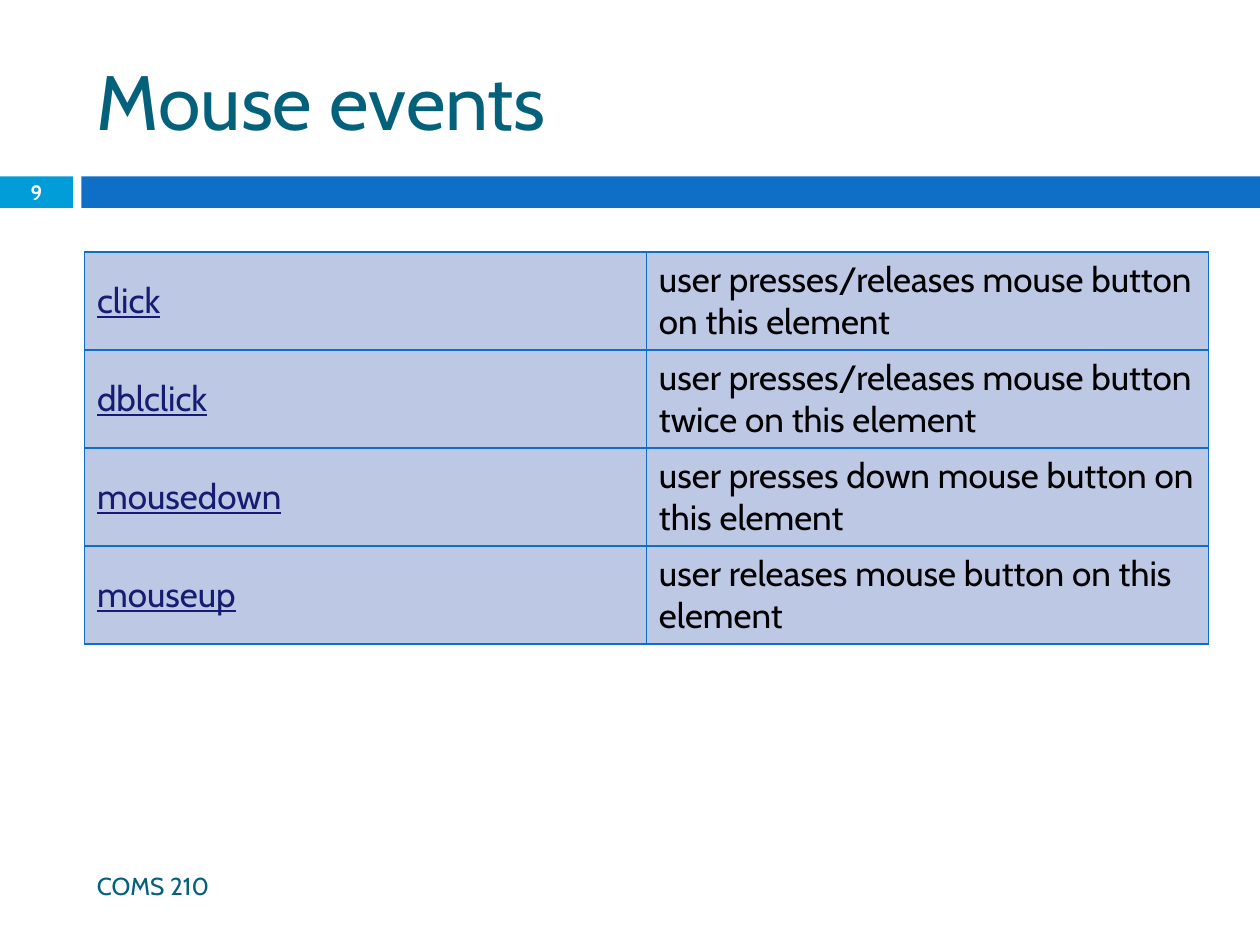
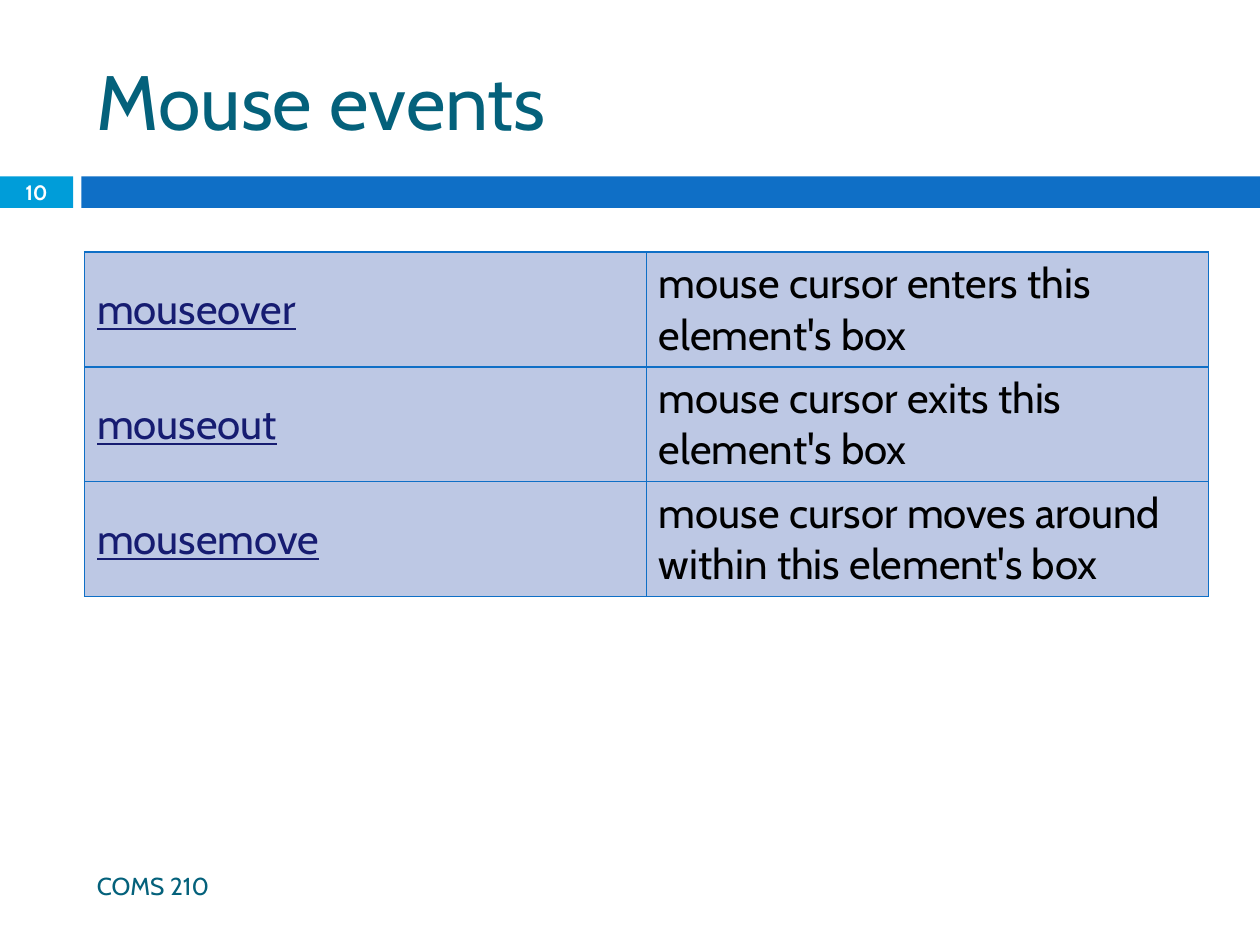
from lxml.etree import SubElement
from pptx import Presentation
from pptx.dml.color import RGBColor
from pptx.enum.shapes import MSO_SHAPE
from pptx.enum.text import MSO_ANCHOR, PP_ALIGN
from pptx.oxml.ns import qn
from pptx.util import Pt

FONT = "Cabin"
TEAL, SKY, BLUE = "04617B", "009DD9", "0F6FC6"
CELL_FILL, LINK, BLACK, WHITE = "BDC8E4", "161C71", "000000", "FFFFFF"

LEFT, WIDTH = 48.24, 642.24
BAND_TOP, BAND_HEIGHT = 100.8, 18
TABLE_TOP = 144

FOOTER = "COMS 210"
FIRST_NUMBER = 9
SLIDES = [
    {"title": "Mouse events", "size": 20, "row_height": 56, "events": [
        ("click", "user presses/releases mouse button on this element"),
        ("dblclick", "user presses/releases mouse button twice on this element"),
        ("mousedown", "user presses down mouse button on this element"),
        ("mouseup", "user releases mouse button on this element"),
    ]},
    {"title": "Mouse events", "size": 24, "row_height": 65.7, "events": [
        ("mouseover", "mouse cursor enters this element's box"),
        ("mouseout", "mouse cursor exits this element's box"),
        ("mousemove", "mouse cursor moves around within this element's box"),
    ]},
]


def color(value):
    """Turn a hex string into a colour."""
    return RGBColor.from_string(value)


def style_font(font, size, value):
    """Set the typeface, size and colour of a font."""
    font.name = FONT
    font.size = Pt(size)
    font.color.rgb = color(value)


def add_text(page, text, place, size, value):
    """Add a vertically centred text box and return its paragraph."""
    frame = page.shapes.add_textbox(*map(Pt, place)).text_frame
    frame.word_wrap = True
    frame.vertical_anchor = MSO_ANCHOR.MIDDLE
    para = frame.paragraphs[0]
    para.text = text
    style_font(para.font, size, value)
    return para


def add_band(page, left, width, value):
    """Add one plain part of the band under the title."""
    place = (left, BAND_TOP, width, BAND_HEIGHT)
    band = page.shapes.add_shape(MSO_SHAPE.RECTANGLE, *map(Pt, place))
    band.shadow.inherit = False
    band.fill.solid()
    band.fill.fore_color.rgb = color(value)
    band.line.fill.background()


def add_frame(page, title, number):
    """Add the band, title, footer and slide number."""
    add_band(page, 0, 41.76, SKY)
    add_band(page, 46.5, 673.5, BLUE)
    add_text(page, title, (LEFT, 18, WIDTH, 77.76), 44, TEAL)
    add_text(page, FOOTER, (LEFT, 491.76, 426.96, 28.8), 14, TEAL)
    para = add_text(page, str(number), (0, 100.08, 41.76, 19.44), 11.9, WHITE)
    para.alignment = PP_ALIGN.CENTER
    para.font.bold = True


def style_cell(cell):
    """Give a cell its borders, fill and anchor."""
    properties = cell._tc.get_or_add_tcPr()
    for side in ("lnL", "lnR", "lnT", "lnB"):
        line = SubElement(properties, qn("a:" + side), w=str(Pt(0.79)))
        fill = SubElement(line, qn("a:solidFill"))
        SubElement(fill, qn("a:srgbClr"), val=BLUE)
    cell.fill.solid()
    cell.fill.fore_color.rgb = color(CELL_FILL)
    cell.vertical_anchor = MSO_ANCHOR.MIDDLE


def add_event_table(page, events, size, row_height):
    """Add a table of event names and their meanings."""
    place = (LEFT, TABLE_TOP, WIDTH, row_height * len(events))
    table = page.shapes.add_table(len(events), 2, *map(Pt, place)).table
    table.first_row = table.horz_banding = False
    for row, event in zip(table.rows, events):
        row.height = Pt(row_height)
        for cell, text, value in zip(row.cells, event, (LINK, BLACK)):
            style_cell(cell)
            para = cell.text_frame.paragraphs[0]
            para.text = text
            style_font(para.font, size, value)
            para.font.underline = value == LINK


deck = Presentation()
deck.slide_width, deck.slide_height = Pt(720), Pt(540)
for number, content in enumerate(SLIDES, FIRST_NUMBER):
    page = deck.slides.add_slide(deck.slide_layouts[6])
    add_frame(page, content["title"], number)
    add_event_table(page, content["events"], content["size"], content["row_height"])
deck.save("out.pptx")
